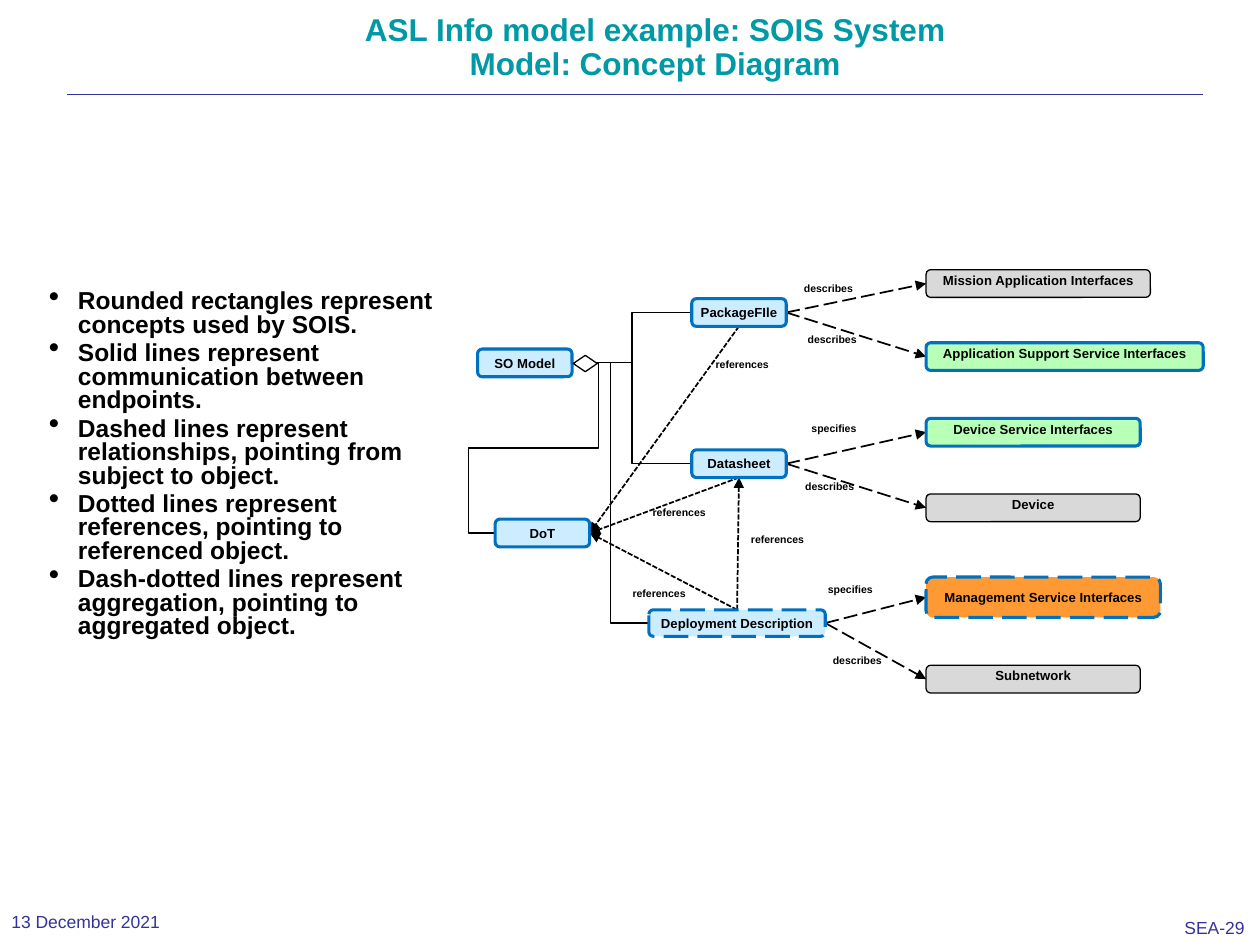
from lxml import etree
from pptx import Presentation
from pptx.dml.color import RGBColor
from pptx.enum.dml import MSO_LINE
from pptx.enum.shapes import MSO_CONNECTOR, MSO_SHAPE
from pptx.enum.text import MSO_ANCHOR, PP_ALIGN
from pptx.oxml.ns import qn
from pptx.util import Inches, Pt

STRAIGHT, ELBOW = MSO_CONNECTOR.STRAIGHT, MSO_CONNECTOR.ELBOW
ROUNDED, DECISION = MSO_SHAPE.ROUNDED_RECTANGLE, MSO_SHAPE.FLOWCHART_DECISION
LONG_DASH, SHORT_DASH = MSO_LINE.LONG_DASH, MSO_LINE.SQUARE_DOT
TOP, MIDDLE, BOTTOM = MSO_ANCHOR.TOP, MSO_ANCHOR.MIDDLE, MSO_ANCHOR.BOTTOM
LEFT, CENTER = PP_ALIGN.LEFT, PP_ALIGN.CENTER

FONT = "Arial"
BLACK = RGBColor(0x00, 0x00, 0x00)
WHITE = RGBColor(0xFF, 0xFF, 0xFF)
TEAL = RGBColor(0x00, 0x99, 0xA6)
NAVY = RGBColor(0x33, 0x33, 0x99)
BLUE = RGBColor(0x00, 0x70, 0xC0)
PALE_BLUE = RGBColor(0xCC, 0xEC, 0xFF)
GREEN = RGBColor(0xB8, 0xFF, 0xB8)
GREY = RGBColor(0xD9, 0xD9, 0xD9)
ORANGE = RGBColor(0xFF, 0x99, 0x33)

BULLETS = [
    "Rounded rectangles represent concepts used by SOIS.",
    "Solid lines represent communication between endpoints.",
    "Dashed lines represent relationships, pointing from subject to object.",
    "Dotted lines represent references, pointing to referenced object.",
    "Dash-dotted lines represent aggregation, pointing to aggregated object.",
]

CONCEPTS = {
    "SO Model": (3.79, 2.77, 0.75, 0.22, PALE_BLUE, MIDDLE, None),
    "DoT": (3.93, 4.12, 0.75, 0.22, PALE_BLUE, MIDDLE, None),
    "PackageFIle": (5.49, 2.37, 0.75, 0.22, PALE_BLUE, MIDDLE, None),
    "Datasheet": (5.49, 3.57, 0.75, 0.22, PALE_BLUE, MIDDLE, None),
    "Deployment Description": (5.15, 4.84, 1.4, 0.21, PALE_BLUE, MIDDLE, LONG_DASH),
    "Mission Application Interfaces": (7.35, 2.14, 1.78, 0.22, GREY, TOP, None),
    "Application Support Service Interfaces": (7.35, 2.72, 2.2, 0.22, GREEN, TOP, None),
    "Device Service Interfaces": (7.35, 3.32, 1.7, 0.22, GREEN, TOP, None),
    "Device": (7.35, 3.92, 1.7, 0.22, GREY, TOP, None),
    "Management Service Interfaces": (7.35, 4.58, 1.86, 0.32, ORANGE, MIDDLE, LONG_DASH),
    "Subnetwork": (7.35, 5.28, 1.7, 0.22, GREY, TOP, None),
}

RELATIONSHIPS = [
    ("PackageFIle", "Mission Application Interfaces", "describes", 6.38, 2.24),
    ("PackageFIle", "Application Support Service Interfaces", "describes", 6.41, 2.64),
    ("Datasheet", "Device Service Interfaces", "specifies", 6.44, 3.35),
    ("Datasheet", "Device", "describes", 6.39, 3.81),
    ("Deployment Description", "Management Service Interfaces", "specifies", 6.57, 4.63),
    ("Deployment Description", "Subnetwork", "describes", 6.61, 5.19),
]

REFERENCES = [
    ("PackageFIle", "bottom", "DoT", "right", 5.68, 2.84),
    ("Datasheet", "bottom", "DoT", "right", 5.18, 4.02),
    ("Deployment Description", "top", "DoT", "right", 5.02, 4.66),
    ("Deployment Description", "top", "Datasheet", "bottom", 5.96, 4.23),
]


def port(name, side):
    """Return the midpoint of one side of a concept box."""
    x, y, w, h = CONCEPTS[name][:4]
    return {
        "left": (x, y + h / 2),
        "right": (x + w, y + h / 2),
        "top": (x + w / 2, y),
        "bottom": (x + w / 2, y + h),
    }[side]


def add_run(p, text, size, color, bold=True):
    """Append a styled run to a paragraph."""
    r = p.add_run()
    r.text = text
    r.font.name, r.font.size, r.font.bold = FONT, Pt(size), bold
    r.font.color.rgb = color


def set_frame(tf, inset_x, inset_y, anchor, wrap):
    """Set the margins, anchor and wrapping of a text frame."""
    tf.margin_left = tf.margin_right = Inches(inset_x)
    tf.margin_top = tf.margin_bottom = Inches(inset_y)
    tf.vertical_anchor, tf.word_wrap = anchor, wrap


def add_text(s, box, text, size, color=BLACK, bold=True, align=LEFT, inset=(0, 0),
             anchor=TOP, wrap=False):
    """Add a one-paragraph text box and return its paragraph."""
    tf = s.shapes.add_textbox(*map(Inches, box)).text_frame
    set_frame(tf, *inset, anchor, wrap)
    p = tf.paragraphs[0]
    p.alignment = align
    add_run(p, text, size, color, bold)
    return p


def add_bullets(s, box, items):
    """Add the bulleted list."""
    tf = s.shapes.add_textbox(*map(Inches, box)).text_frame
    set_frame(tf, 0.1, 0.05, TOP, True)
    for i, item in enumerate(items):
        p = tf.add_paragraph() if i else tf.paragraphs[0]
        pPr = p._p.get_or_add_pPr()
        pPr.set("marL", str(Inches(0.23)))
        pPr.set("indent", str(-Inches(0.23)))
        etree.SubElement(pPr, qn("a:buSzPct"), val="125000")
        etree.SubElement(pPr, qn("a:buChar"), char="•")
        p.line_spacing = 0.8
        p.space_before, p.space_after = Pt(1.4 if i else 0), Pt(1.4)
        add_run(p, item, 14, BLACK)


def add_line(s, start, end, kind=STRAIGHT, color=BLACK, width=0.75, dash=None):
    """Add a connector without shadow; dashed ones point at their end."""
    c = s.shapes.add_connector(kind, *map(Inches, (*start, *end)))
    c.line.color.rgb, c.line.width = color, Pt(width)
    if dash:
        c.line.dash_style = dash
        etree.SubElement(c.line._get_or_add_ln(), qn("a:tailEnd"), type="triangle")
    etree.SubElement(c._element.spPr, qn("a:effectLst"))
    return c


def add_detour(s, start, end):
    """Add a five-part elbow that leaves and enters around the outside."""
    geom = add_line(s, start, end, ELBOW)._element.spPr.find(qn("a:prstGeom"))
    geom.set("prst", "bentConnector5")
    guides = geom.find(qn("a:avLst"))
    for i, value in enumerate((-34300, 50000, 134300), 1):
        etree.SubElement(guides, qn("a:gd"), name=f"adj{i}", fmla=f"val {value}")


def add_block(s, kind, box, fill, line, width, dash=None):
    """Add a filled and outlined shape."""
    sp = s.shapes.add_shape(kind, *map(Inches, box))
    sp.shadow.inherit = False
    sp.fill.solid()
    sp.fill.fore_color.rgb = fill
    sp.line.color.rgb, sp.line.width = line, Pt(width)
    if dash:
        sp.line.dash_style = dash
    return sp


def add_concept(s, name):
    """Add the labelled rounded rectangle of a concept."""
    *box, fill, anchor, dash = CONCEPTS[name]
    outline = (BLACK, 0.75) if fill == GREY else (BLUE, 1.75)
    tf = add_block(s, ROUNDED, box, fill, *outline, dash).text_frame
    set_frame(tf, 0.01, 0.01, anchor, True)
    p = tf.paragraphs[0]
    p.alignment = CENTER
    add_run(p, name, 7.5, BLACK)


def add_diagram(s):
    """Draw the links, then the concepts, then the link labels."""
    hub = port("SO Model", "right")
    for name in ("PackageFIle", "Datasheet", "Deployment Description"):
        add_line(s, port(name, "left"), hub, ELBOW)
    add_detour(s, port("DoT", "left"), hub)
    for source, target, *_ in RELATIONSHIPS:
        add_line(s, port(source, "right"), port(target, "left"), width=1, dash=LONG_DASH)
    for source, side, target, end, *_ in REFERENCES:
        add_line(s, port(source, side), port(target, end), width=1, dash=SHORT_DASH)
    for name in CONCEPTS:
        add_concept(s, name)
    add_block(s, DECISION, (4.58, 2.79, 0.13, 0.19), WHITE, BLACK, 0.75).rotation = 270
    labels = [link[2:] for link in RELATIONSHIPS]
    labels += [("references", *link[4:]) for link in REFERENCES]
    for text, x, y in labels:
        add_text(s, (x, y, 0.45, 0.13), text, 6)


def main():
    """Build the slide and save it."""
    prs = Presentation()
    prs.slide_width, prs.slide_height = Inches(10), Inches(7.5)
    s = prs.slides.add_slide(prs.slide_layouts[6])
    add_line(s, (0.53, 0.75), (9.55, 0.75), color=NAVY, width=0.13)
    add_text(s, (9.31, 7.24, 0.68, 0.26), "SEA-29", 10, NAVY, False, inset=(0.09, 0.04))
    title = add_text(s, (2.5, -0.57, 5.4, 1.27),
                     "ASL Info model example: SOIS System Model: Concept Diagram",
                     18, TEAL, align=CENTER, inset=(0.1, 0.05), anchor=BOTTOM, wrap=True)
    title.line_spacing = 0.9
    add_bullets(s, (0.29, 2.26, 3.29, 3.91), BULLETS)
    add_diagram(s)
    add_text(s, (0, 7.17, 1.89, 0.29), "13 December 2021", 10, NAVY, False,
             inset=(0.09, 0.05), anchor=MIDDLE)
    prs.save("out.pptx")


if __name__ == "__main__":
    main()
